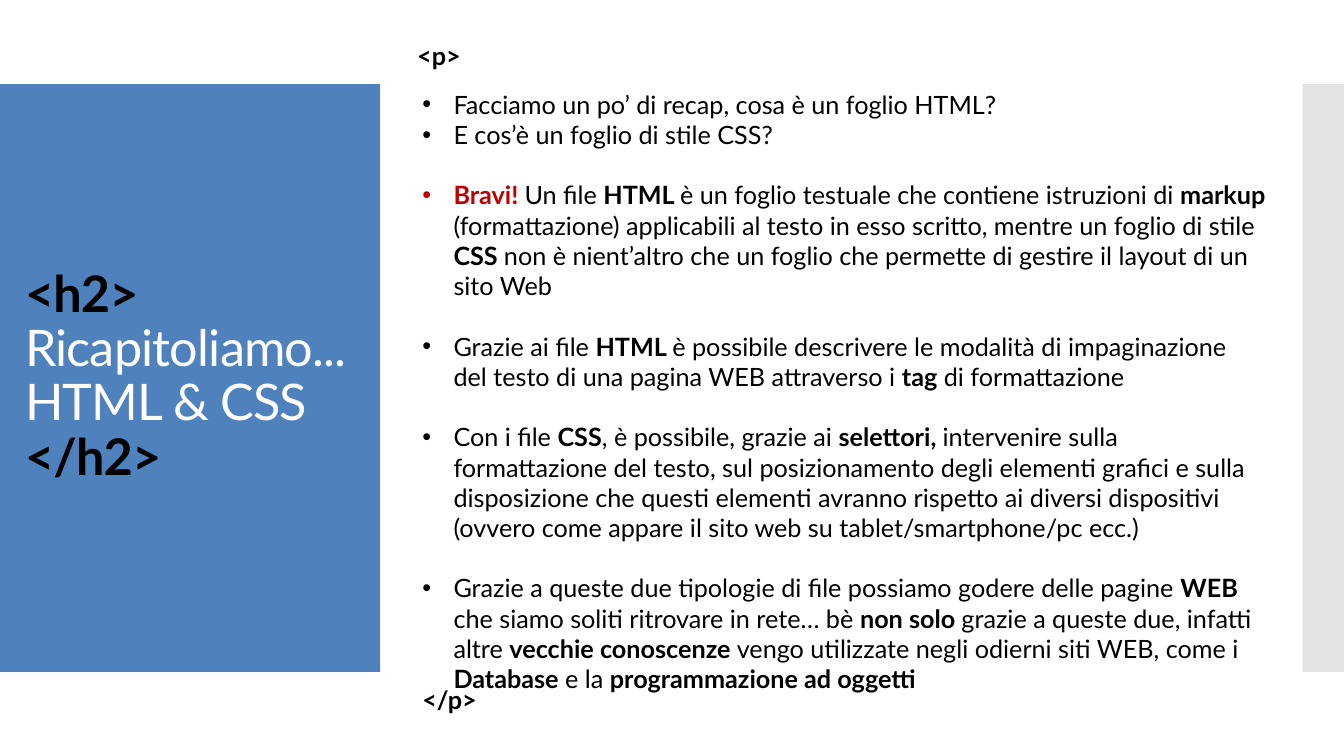
from lxml import etree
from pptx import Presentation
from pptx import util as u
from pptx.dml.color import RGBColor
from pptx.enum import shapes, text
from pptx.oxml.ns import qn

WIDTH, HEIGHT = 13.33, 7.5
FONT = "Lato"
BODY_SIZE, TITLE_SIZE = 18, 36
COLORS = {"black": "000000", "white": "FFFFFF", "blue": "4F81BD",
          "gray": "C8C8C8", "red": "C00000"}

# Each title line: text, colour, bold
TITLE = [
    ("<h2>", "black", True),
    ("Ricapitoliamo...", "white", False),
    ("HTML & CSS", "white", False),
    ("</h2>", "black", True),
]

# Each group is set apart by one line; "*" switches bold on and off
GROUPS = [
    ["Facciamo un po’ di recap, cosa è un foglio HTML?",
     "E cos’è un foglio di stile CSS?"],
    ["*Bravi! *Un file *HTML *è un foglio testuale che contiene istruzioni di "
     "*markup *(formattazione) applicabili al testo in esso scritto, mentre un "
     "foglio di stile *CSS *non è nient’altro che un foglio che permette di "
     "gestire il layout di un sito Web"],
    ["Grazie ai file *HTML *è possibile descrivere le modalità di impaginazione "
     "del testo di una pagina WEB attraverso i *tag* di formattazione"],
    ["Con i file *CSS*, è possibile, grazie ai *selettori, *intervenire sulla "
     "formattazione del testo, sul posizionamento degli elementi grafici e sulla "
     "disposizione che questi elementi avranno rispetto ai diversi dispositivi "
     "(ovvero come appare il sito web su tablet/smartphone/pc ecc.)"],
    ["Grazie a queste due tipologie di file possiamo godere delle pagine *WEB* "
     "che siamo soliti ritrovare in rete… bè *non solo *grazie a queste due, "
     "infatti altre *vecchie conoscenze *vengo utilizzate negli odierni siti WEB, "
     "come i *Database* e la *programmazione ad oggetti*"],
]
RED_WORDS = {"Bravi! "}

# Left, top, width, height in inches
BAND_TOP, BAND_HEIGHT = HEIGHT / 9, HEIGHT * 7 / 9
TITLE_PANEL = (0, BAND_TOP, 3.77, BAND_HEIGHT)
EDGE_PANEL = (12.92, BAND_TOP, WIDTH - 12.92, BAND_HEIGHT)
TITLE_BOX = (0.15, 1.23, 3.46, 5.03)
BODY_BOX = (4.09, BAND_TOP, 8.56, 5.86)
TAGS = [("<p>", (4.04, 0.35, 8.56, 0.4)), ("</p>", (4.09, 6.74, 8.6, 0.4))]
INDENT = u.Inches(0.31)


def rgb(name):
    return RGBColor.from_string(COLORS[name])


def add_panel(slide, box, color, opacity=100):
    panel = slide.shapes.add_shape(shapes.MSO_SHAPE.RECTANGLE, *map(u.Inches, box))
    panel.shadow.inherit = False
    panel.line.fill.background()
    panel.fill.solid()
    panel.fill.fore_color.rgb = rgb(color)
    if opacity < 100:
        srgb = panel.fill._xPr.find(".//" + qn("a:srgbClr"))
        etree.SubElement(srgb, qn("a:alpha"), val=str(opacity * 1000))


def add_text_box(slide, box):
    frame = slide.shapes.add_textbox(*map(u.Inches, box)).text_frame
    frame.word_wrap = True
    return frame


def style(paragraph, size):
    paragraph.font.name = FONT
    paragraph.font.size = u.Pt(size)


def add_run(paragraph, wording, color, bold):
    run = paragraph.add_run()
    run.text = wording
    run.font.bold = bold
    run.font.color.rgb = rgb(color)
    return run


def add_bullet(paragraph):
    properties = paragraph._p.get_or_add_pPr()
    properties.set("marL", str(INDENT))
    properties.set("indent", str(-INDENT))
    bullet_font = etree.Element(qn("a:buFont"), typeface="Arial")
    bullet = etree.Element(qn("a:buChar"), char="•")
    defaults = properties.find(qn("a:defRPr"))
    defaults.addprevious(bullet_font)
    defaults.addprevious(bullet)


def add_title(slide):
    frame = add_text_box(slide, TITLE_BOX)
    frame.vertical_anchor = text.MSO_ANCHOR.MIDDLE
    paragraph = frame.paragraphs[0]
    paragraph.line_spacing = 0.9
    style(paragraph, TITLE_SIZE)
    for index, line in enumerate(TITLE):
        if index:
            paragraph.add_line_break()
        run = add_run(paragraph, *line)
        run._r.get_or_add_rPr().set("spc", "-60")


def add_body(slide):
    frame = add_text_box(slide, BODY_BOX)
    paragraph = frame.paragraphs[0]
    for group_index, group in enumerate(GROUPS):
        for item_index, item in enumerate(group):
            if group_index or item_index:
                paragraph = frame.add_paragraph()
            if group_index and not item_index:
                paragraph.space_before = u.Pt(BODY_SIZE * 1.2)
            style(paragraph, BODY_SIZE)
            add_bullet(paragraph)
            for part_index, part in enumerate(item.split("*")):
                if part:
                    color = "red" if part in RED_WORDS else "black"
                    add_run(paragraph, part, color, part_index % 2 == 1)


def add_tag(slide, wording, box):
    paragraph = add_text_box(slide, box).paragraphs[0]
    style(paragraph, BODY_SIZE)
    add_run(paragraph, wording, "black", True)


def main():
    presentation = Presentation()
    presentation.slide_width = u.Inches(WIDTH)
    presentation.slide_height = u.Inches(HEIGHT)
    slide = presentation.slides.add_slide(presentation.slide_layouts[6])
    add_panel(slide, TITLE_PANEL, "blue")
    add_title(slide)
    add_panel(slide, EDGE_PANEL, "gray", opacity=50)
    add_body(slide)
    for wording, box in TAGS:
        add_tag(slide, wording, box)
    presentation.save("out.pptx")


if __name__ == "__main__":
    main()
